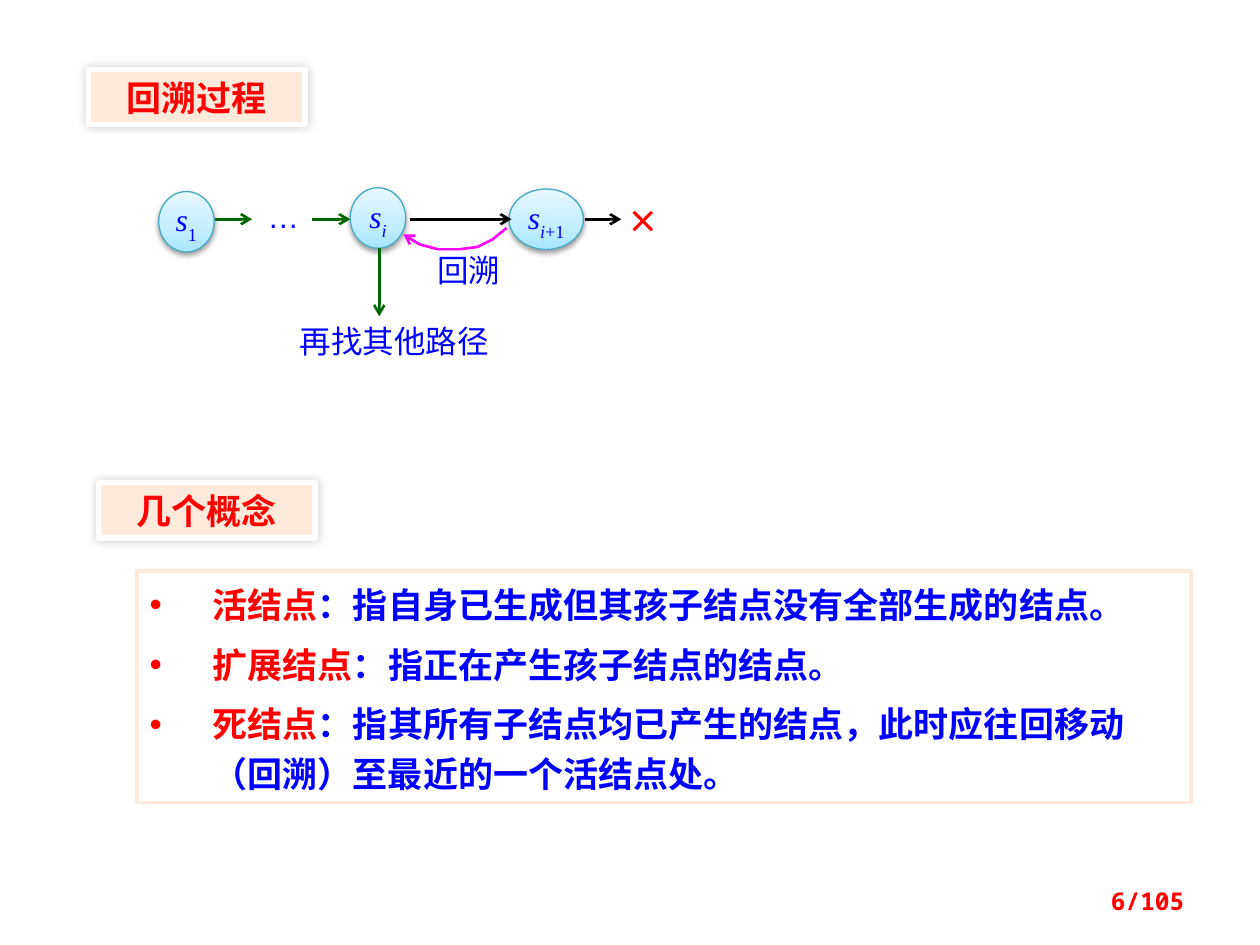
from copy import deepcopy
from dataclasses import dataclass

from lxml.etree import SubElement
from pptx import Presentation
from pptx.dml.color import RGBColor
from pptx.enum.shapes import MSO_CONNECTOR as Connector, MSO_SHAPE as Shape
from pptx.enum.text import MSO_ANCHOR as Anchor, PP_ALIGN as Align
from pptx.oxml.ns import qn
from pptx.util import Inches, Pt


@dataclass(frozen=True)
class Theme:
    """Colours, fonts and sizes of the slide."""
    red: str = "FF0000"
    blue: str = "0000FF"
    green: str = "006600"
    black: str = "000000"
    magenta: str = "FF00FF"
    white: str = "FFFFFF"
    peach: str = "FDEADA"
    teal: str = "46AAC5"
    node_stops: tuple = ((0, "A7E6FF"), (0.35, "C1EDFF"), (1, "E7F8FF"))
    serif: str = "Times New Roman"
    sans: str = "Arial"
    chinese: str = "Noto Sans CJK SC"
    mono: str = "Noto Sans Mono"
    heading: int = 20
    diagram: int = 18
    footer: int = 14


THEME = Theme()


def add_span(para, text, size, font, color, bold=False, italic=False, sub=False):
    """Add one formatted run to a paragraph."""
    span = para.add_run()
    span.text = text
    span.font.size = Pt(size)
    span.font.name = font
    span.font.bold = bold
    span.font.italic = italic
    span.font.color.rgb = RGBColor.from_string(color)
    SubElement(span.font._element, qn("a:ea"), typeface=THEME.chinese)
    if sub:
        span.font._element.set("baseline", "-30000")


def add_shape(page, kind, at, fill=None, line=None, width=1.0):
    """Add a preset shape with plain fill and line and no shadow."""
    shape = page.shapes.add_shape(kind, *map(Inches, at))
    shape.shadow.inherit = False
    if fill:
        shape.fill.solid()
        shape.fill.fore_color.rgb = RGBColor.from_string(fill)
    if line:
        shape.line.color.rgb = RGBColor.from_string(line)
        shape.line.width = Pt(width)
    else:
        shape.line.fill.background()
    shape.text_frame.word_wrap = True
    shape.text_frame.vertical_anchor = Anchor.TOP
    return shape


def add_shadow(shape, opacity, blur, distance, angle):
    """Give a shape an outer black shadow."""
    effects = shape._element.spPr.find(qn("a:effectLst"))
    shadow = SubElement(effects, qn("a:outerShdw"), blurRad=str(Pt(blur)),
                        dist=str(Pt(distance)), dir=str(angle * 60000),
                        algn="ctr", rotWithShape="0")
    color = SubElement(shadow, qn("a:srgbClr"), val=THEME.black)
    SubElement(color, qn("a:alpha"), val=str(opacity * 1000))


def clear_margins(frame):
    """Remove the inner margins of a text frame."""
    frame.margin_left = frame.margin_right = 0
    frame.margin_top = frame.margin_bottom = 0


def add_heading(page, left, top, text):
    """Add a framed section heading."""
    box = add_shape(page, Shape.RECTANGLE, (left, top, 1.72, 0.44),
                    THEME.peach, THEME.white, 3)
    add_shadow(box, 20, 6, 0, 315)
    box.text_frame.vertical_anchor = Anchor.MIDDLE
    para = box.text_frame.paragraphs[0]
    para.alignment = Align.CENTER
    add_span(para, text, THEME.heading, THEME.chinese, THEME.red, bold=True)


def add_label(page, at, text, font=THEME.serif, color=THEME.blue, bold=False):
    """Add a centred diagram label on white."""
    box = add_shape(page, Shape.RECTANGLE, at, THEME.white)
    clear_margins(box.text_frame)
    para = box.text_frame.paragraphs[0]
    para.alignment = Align.CENTER
    add_span(para, text, THEME.diagram, font, color, bold)


def add_node(page, at, subscripts):
    """Add a state node named s with (text, italic) subscripts."""
    node = add_shape(page, Shape.OVAL, at, line=THEME.teal, width=0.75)
    node.fill.gradient()
    node.fill.gradient_angle = 90
    stop_list = node._element.spPr.find(qn("a:gradFill")).find(qn("a:gsLst"))
    stop_list.append(deepcopy(stop_list[-1]))
    for stop, (position, color) in zip(node.fill.gradient_stops, THEME.node_stops):
        stop.position = position
        stop.color.rgb = RGBColor.from_string(color)
    add_shadow(node, 38, 3.1, 1.6, 90)
    clear_margins(node.text_frame)
    para = node.text_frame.paragraphs[0]
    para.alignment = Align.CENTER
    style = (THEME.diagram, THEME.serif, THEME.blue)
    add_span(para, "s", *style, italic=True)
    for text, italic in subscripts:
        add_span(para, text, *style, italic=italic, sub=True)


def style_arrow(arrow, color):
    """Colour a line and put an arrowhead at its end."""
    arrow.line.color.rgb = RGBColor.from_string(color)
    arrow.line.width = Pt(1.5)
    SubElement(arrow.line._get_or_add_ln(), qn("a:tailEnd"), type="arrow")


def add_arrow(page, start, end, color):
    """Add a straight arrow."""
    arrow = page.shapes.add_connector(Connector.STRAIGHT, *map(Inches, start + end))
    style_arrow(arrow, color)
    SubElement(arrow._element.spPr, qn("a:effectLst"))


def add_return_arrow(page, points, color):
    """Add an open bent arrow through the points."""
    start, *rest = [(Inches(x), Inches(y)) for x, y in points]
    builder = page.shapes.build_freeform(*start)
    builder.add_line_segments(rest, close=False)
    arrow = builder.convert_to_shape()
    arrow.shadow.inherit = False
    arrow.fill.background()
    style_arrow(arrow, color)


def add_concepts(page, at, concepts):
    """Add the framed bullet list of terms and meanings."""
    box = add_shape(page, Shape.RECTANGLE, at, THEME.white, THEME.peach, 2.25)
    frame = box.text_frame
    for index, (term, meaning) in enumerate(concepts):
        para = frame.add_paragraph() if index else frame.paragraphs[0]
        para.alignment = Align.LEFT
        para.line_spacing = Pt(28)
        para.space_before = Pt(6 if index else 0)
        settings = para._element.get_or_add_pPr()
        settings.set("marL", str(Inches(0.5)))
        settings.set("indent", str(-Inches(0.5)))
        SubElement(settings, qn("a:buFont"), typeface=THEME.sans)
        SubElement(settings, qn("a:buChar"), char="•")
        for text, color in ((term, THEME.red), (meaning, THEME.blue)):
            add_span(para, text, THEME.heading, THEME.serif, color, bold=True)


def add_page_number(page, at, text):
    """Add the page number at the lower right."""
    frame = page.shapes.add_textbox(*map(Inches, at)).text_frame
    frame.word_wrap = True
    frame.vertical_anchor = Anchor.MIDDLE
    para = frame.paragraphs[0]
    para.alignment = Align.RIGHT
    add_span(para, text, THEME.footer, THEME.mono, THEME.red, bold=True)


def add_diagram(page):
    """Draw the backtracking process."""
    axis = 1.74
    add_label(page, (4.89, 1.6, 0.43, 0.29), "×", THEME.chinese, THEME.red, True)
    add_node(page, (1.26, 1.52, 0.44, 0.48), [("1", False)])
    add_node(page, (2.78, 1.49, 0.44, 0.48), [("i", True)])
    add_label(page, (2.07, 1.56, 0.36, 0.22), "…", THEME.sans)
    add_node(page, (4.04, 1.5, 0.59, 0.48), [("i", True), ("+1", False)])
    for left, right, color in ((1.71, 2, THEME.green), (2.48, 2.78, THEME.green),
                               (3.25, 4.06, THEME.black), (4.64, 4.93, THEME.black)):
        add_arrow(page, (left, axis), (right, axis), color)
    add_return_arrow(page, [(4.02, 1.81), (3.91, 1.9), (3.79, 1.96), (3.64, 1.98),
                            (3.48, 1.98), (3.33, 1.94), (3.2, 1.86)], THEME.magenta)
    add_label(page, (3.46, 1.99, 0.52, 0.34), "回溯")
    add_arrow(page, (3.01, 1.97), (3.01, 2.51), THEME.green)
    add_label(page, (2.27, 2.56, 1.72, 0.34), "再找其他路径")


def main():
    """Build and save the slide."""
    deck = Presentation()
    deck.slide_width, deck.slide_height = Inches(10), Inches(7.5)
    page = deck.slides.add_slide(deck.slide_layouts[6])
    add_heading(page, 0.78, 3.83, "几个概念")
    add_concepts(page, (1.09, 4.53, 8.36, 1.84), [
        ("活结点", "：指自身已生成但其孩子结点没有全部生成的结点。"),
        ("扩展结点", "：指正在产生孩子结点的结点。"),
        ("死结点", "：指其所有子结点均已产生的结点，此时应往回移动（回溯）至最近的一个活结点处。")])
    add_heading(page, 0.7, 0.55, "回溯过程")
    add_diagram(page)
    add_page_number(page, (7.17, 6.95, 2.33, 0.4), "6/105")
    deck.save("out.pptx")


if __name__ == "__main__":
    main()
